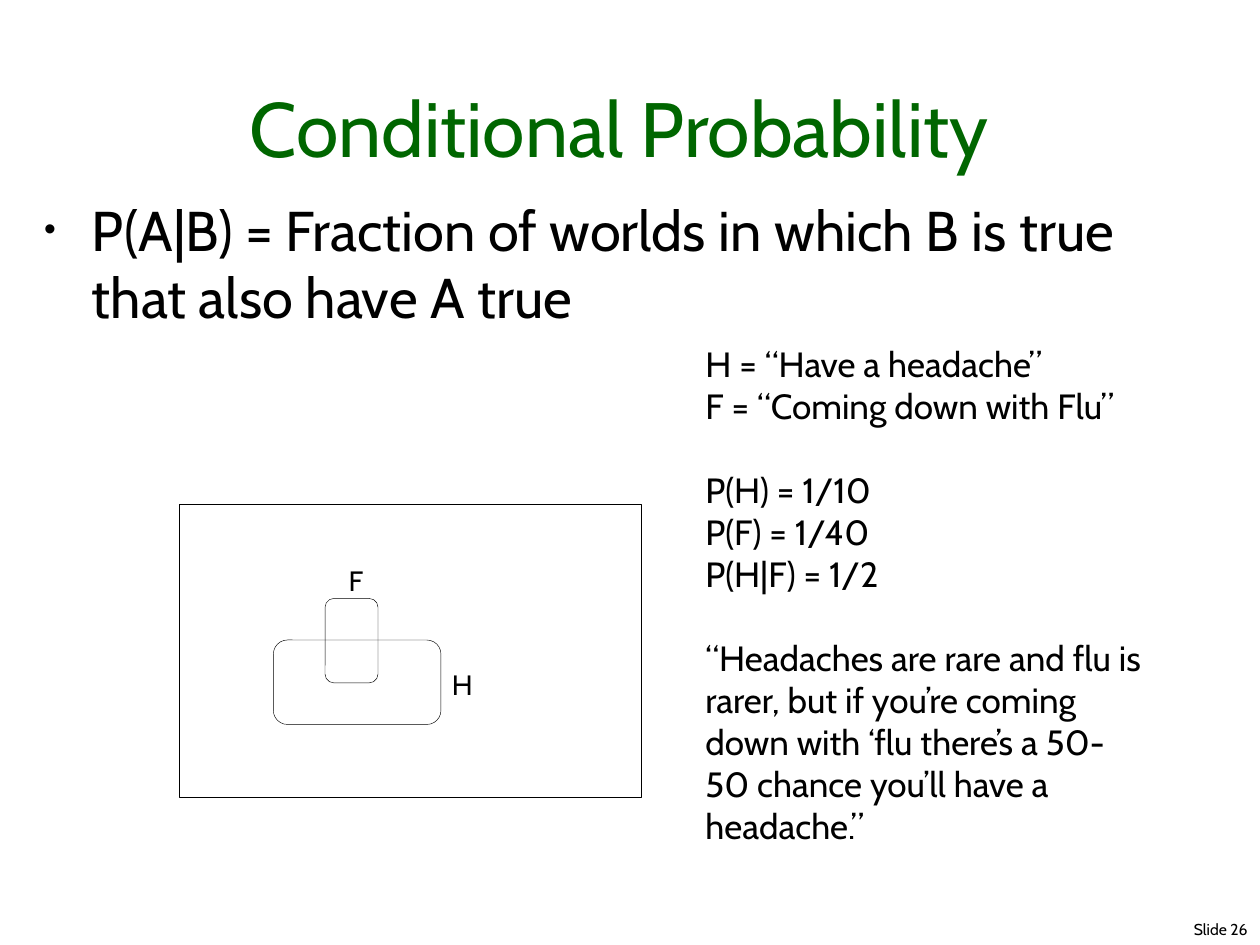
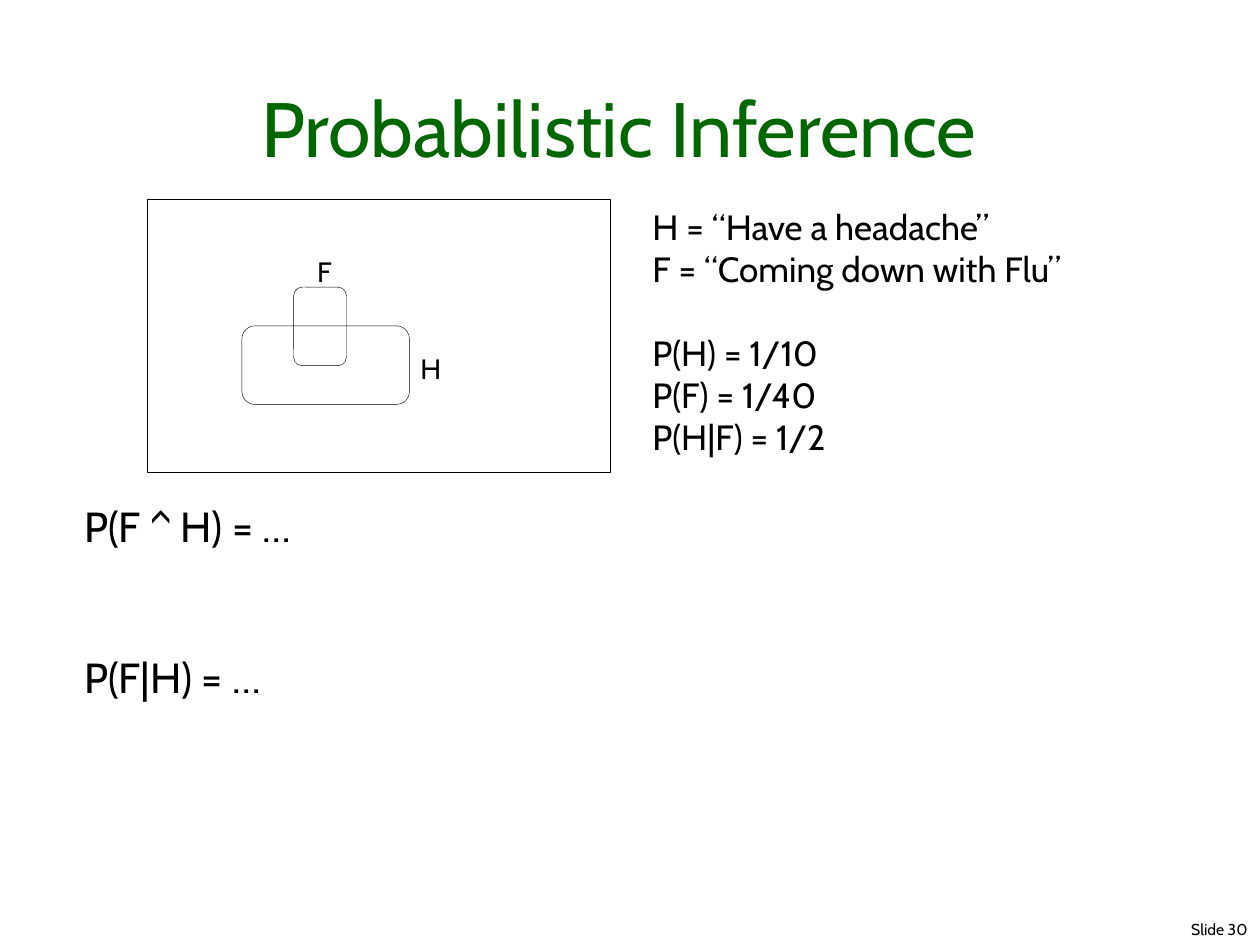
"""Build two slides on conditional probability and probabilistic inference."""
import pptx
import pptx.util
import pptx.dml.color
import pptx.enum.shapes
import pptx.enum.text
import lxml.etree

Inches = pptx.util.Inches
Pt = pptx.util.Pt
Align = pptx.enum.text.PP_ALIGN
Shape = pptx.enum.shapes.MSO_SHAPE

COLORS = {"title": "006600", "text": "000000", "line": "000000"}
FONT = "Cabin"
FRAME_WIDTH, FRAME_HEIGHT = 3.67, 2.33
FACTS = [
    ("H = “Have a headache”", 0),
    ("F = “Coming down with Flu”", 0),
    ("P(H) = 1/10", 24),
    ("P(F) = 1/40", 0),
    ("P(H|F) = 1/2", 0),
]
REMARK = (
    "“Headaches are rare and flu is rarer, but if you’re coming down with "
    "‘flu there’s a 50-50 chance you’ll have a headache.”"
)
DEFINITION = "P(A|B) = Fraction of worlds in which B is true that also have A true"
QUESTIONS = [("P(F ^ H) = …", 0), ("P(F|H) = …", 58)]


def write(box, lines, size, color="text", align=Align.LEFT, wrap=True):
    """Fill a box with (text, space before) lines in one style."""
    frame = box.text_frame
    frame.word_wrap = wrap
    frame.auto_size = pptx.enum.text.MSO_AUTO_SIZE.NONE
    frame.text = "\n".join(text for text, gap in lines)
    for para, (text, gap) in zip(frame.paragraphs, lines):
        para.alignment = align
        para.space_before = Pt(gap)
        for span in para.runs:
            span.font.name = FONT
            span.font.size = Pt(size)
            span.font.color.rgb = pptx.dml.color.RGBColor.from_string(COLORS[color])


def place(box, left, top, width, height):
    """Move and size a placeholder."""
    box.left, box.top = Inches(left), Inches(top)
    box.width, box.height = Inches(width), Inches(height)


slides = [
    {"title": "Conditional Probability", "number": 26, "layout": 1,
     "diagram": (1.42, 4, 2.33),
     "texts": [(5.5, 2.67, 3.67, 4.44, FACTS + [(REMARK, 24)], 20)]},
    {"title": "Probabilistic Inference", "number": 30, "layout": 5,
     "diagram": (1.17, 1.58, 2.17),
     "texts": [(5.08, 1.58, 3.67, 2.44, FACTS, 20),
               (0.57, 3.92, 9.2, 1.7, QUESTIONS, 24)]},
]
outlines = [
    (Shape.RECTANGLE, 0, 0, FRAME_WIDTH, FRAME_HEIGHT),
    (Shape.ROUNDED_RECTANGLE, 0.75, 1.08, 1.33, 0.67),
    (Shape.ROUNDED_RECTANGLE, 1.16, 0.75, 0.42, 0.67),
]
labels = [("F", 1.25, 0.42, 0.31), ("H", 2.07, 1.25, 0.36)]

deck = pptx.Presentation()
deck.slide_width, deck.slide_height = Inches(10), Inches(7.5)

for content in slides:
    page = deck.slides.add_slide(deck.slide_layouts[content["layout"]])

    number = page.shapes.add_textbox(Inches(6.08), Inches(7.25), Inches(3.92), Inches(0.27))
    write(number, [(f"Slide {content['number']}", 0)], 9, align=Align.RIGHT)

    title = page.shapes.title
    place(title, 0.25, 0.25, 9.33, 1.17)
    write(title, [(content["title"], 0)], 44, "title", Align.CENTER)
    title.text_frame.vertical_anchor = pptx.enum.text.MSO_ANCHOR.BOTTOM

    left, top, height = content["diagram"]
    scale = height / FRAME_HEIGHT
    for kind, x, y, wide, high in outlines:
        outline = page.shapes.add_shape(
            kind, Inches(left + x), Inches(top + y * scale), Inches(wide), Inches(high * scale))
        outline.shadow.inherit = False
        outline.fill.background()
        outline.line.color.rgb = pptx.dml.color.RGBColor.from_string(COLORS["line"])
        outline.line.width = Pt(0.25)
    for letter, x, y, wide in labels:
        label = page.shapes.add_textbox(
            Inches(left + x), Inches(top + y * scale), Inches(wide), Inches(0.37))
        write(label, [(letter, 0)], 16, align=Align.CENTER, wrap=False)

    for x, y, wide, high, lines, size in content["texts"]:
        box = page.shapes.add_textbox(Inches(x), Inches(y), Inches(wide), Inches(high))
        write(box, lines, size)

definition = deck.slides[0].placeholders[1]
place(definition, 0.25, 1.5, 9.38, 1.25)
write(definition, [(DEFINITION, 0)], 32)
properties = definition.text_frame.paragraphs[0]._p.get_or_add_pPr()
properties.set("marL", str(Inches(0.38)))
properties.set("indent", str(Inches(-0.38)))
namespace = pptx.oxml.ns.nsuri("a")
bullet_color = lxml.etree.SubElement(properties, f"{{{namespace}}}buClr")
lxml.etree.SubElement(bullet_color, f"{{{namespace}}}srgbClr", val=COLORS["text"])
lxml.etree.SubElement(properties, f"{{{namespace}}}buSzPct", val="60000")
lxml.etree.SubElement(properties, f"{{{namespace}}}buChar", char="•")

deck.save("out.pptx")
